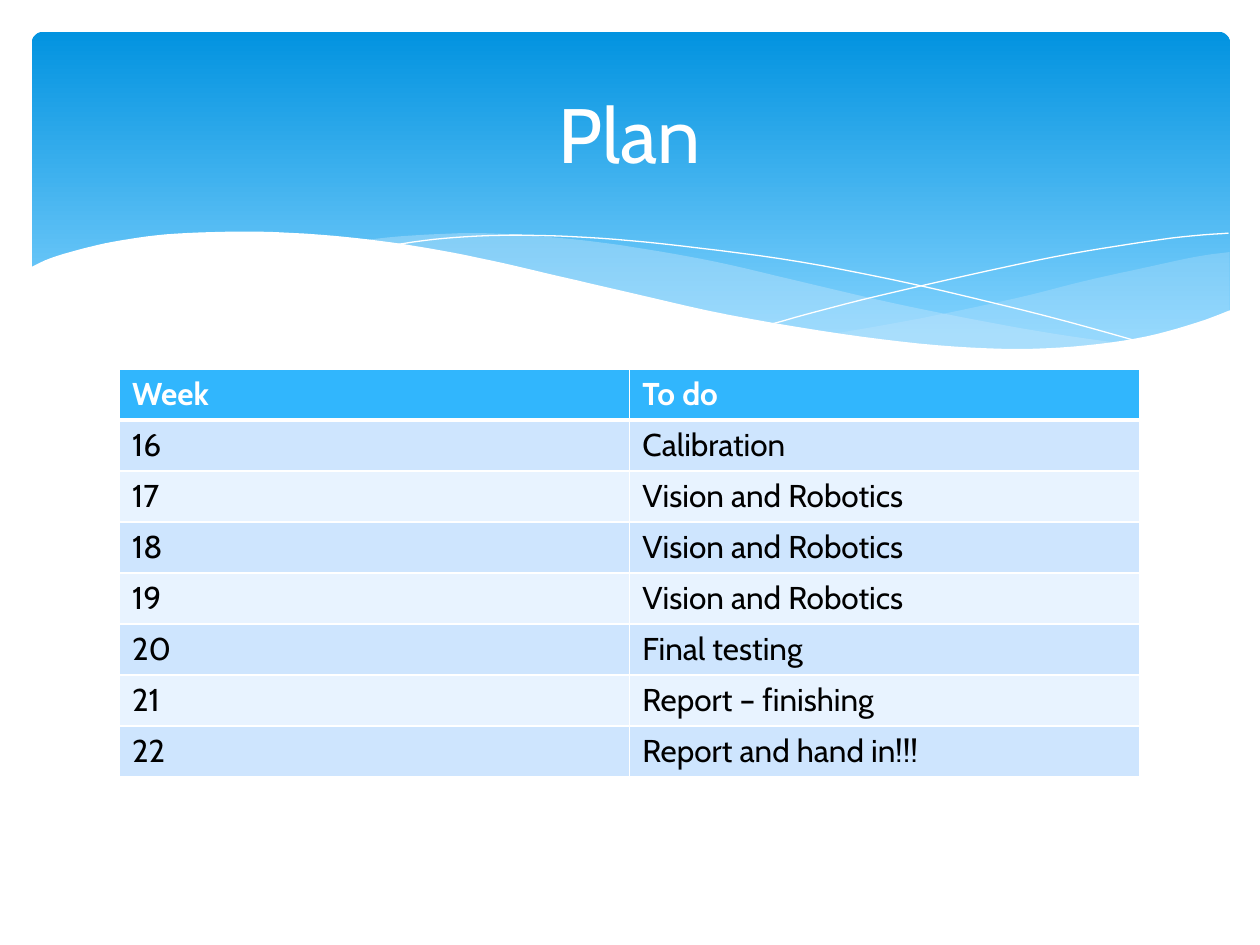
from lxml.etree import SubElement
from pptx import Presentation
from pptx.dml.color import RGBColor
from pptx.enum.shapes import MSO_SHAPE
from pptx.enum.text import MSO_ANCHOR, PP_ALIGN
from pptx.oxml.ns import qn
from pptx.util import Cm, Pt

COLORS = {
    "white": "FFFFFF", "black": "000000", "banner_top": "0293E0", "banner_bottom": "83D3FE",
    "wave": "C6E7FC", "header": "31B6FD", "odd": "CEE5FE", "even": "E8F3FF",
}
COLORS = {name: RGBColor.from_string(value) for name, value in COLORS.items()}
FONT = "Cabin"
UNIT = Cm(2.54) / 1000


def smooth_curve(knots, steps=5):
    padded = [knots[0], *knots, knots[-1]]
    points = [knots[0]]
    for a, b, c, d in zip(padded, padded[1:], padded[2:], padded[3:]):
        for step in range(1, steps + 1):
            t = step / steps
            points.append(tuple(
                0.5 * (2 * q + (r - p) * t + (2 * p - 5 * q + 4 * r - s) * t ** 2
                       + (3 * q - p - 3 * r + s) * t ** 3)
                for p, q, r, s in zip(a, b, c, d)))
    return points


def add_outline(points, close):
    points = [(x * 1000, y * 1000) for x, y in points]
    builder = slide.shapes.build_freeform(*points[0], scale=UNIT)
    builder.add_line_segments(points[1:], close=close)
    shape = builder.convert_to_shape()
    shape.shadow.inherit = False
    return shape


presentation = Presentation()
presentation.slide_width = Cm(25.4)
presentation.slide_height = Cm(19.05)
slide = presentation.slides.add_slide(presentation.slide_layouts[6])

banner = slide.shapes.add_shape(MSO_SHAPE.ROUNDED_RECTANGLE, Cm(0.64), Cm(0.64), Cm(24.16), Cm(6.86))
banner.adjustments[0] = 0.034
banner.shadow.inherit = False
banner.line.fill.background()
banner.fill.gradient()
banner.fill.gradient_angle = 270
for stop, position, name in zip(banner.fill.gradient_stops, (0, 0.9), ("banner_top", "banner_bottom")):
    stop.position = position
    stop.color.rgb = COLORS[name]

right_wave = smooth_curve([
    (9.76, 2), (9.48, 2.04), (9.06, 2.13), (8.61, 2.23), (8.05, 2.37), (7.29, 2.53), (6.61, 2.65),
]) + smooth_curve([
    (6.61, 2.65), (7.05, 2.71), (7.57, 2.76), (8.03, 2.78), (8.44, 2.77), (8.81, 2.73),
    (9.21, 2.65), (9.49, 2.57), (9.76, 2.47),
])
middle_wave = smooth_curve([
    (8.93, 2.73), (8.37, 2.65), (7.75, 2.54), (7.06, 2.4), (6.29, 2.22), (5.69, 2.08), (5.14, 1.98),
    (4.65, 1.91), (4.2, 1.87), (3.8, 1.85), (3.44, 1.86), (3.13, 1.88), (2.86, 1.91),
]) + smooth_curve([
    (2.86, 1.91), (3.42, 1.99), (4.04, 2.11), (4.49, 2.22), (5.3, 2.4), (6.01, 2.55), (6.65, 2.66),
    (7.22, 2.74), (7.73, 2.77), (8.18, 2.78), (8.57, 2.77), (8.93, 2.73),
])
falling_line = smooth_curve([
    (3.09, 1.95), (3.44, 1.9), (3.87, 1.87), (4.33, 1.87), (4.89, 1.9), (5.56, 1.97),
    (6.36, 2.08), (7.27, 2.26), (8.31, 2.51), (9.07, 2.72),
])
rising_line = smooth_curve([
    (6.13, 2.57), (6.72, 2.41), (7.48, 2.23), (8.36, 2.04), (8.95, 1.94), (9.38, 1.88), (9.75, 1.85),
])
white_wave = smooth_curve([
    (9.77, 2.46), (9.5, 2.56), (9.1, 2.67), (8.63, 2.74), (8.09, 2.77), (7.44, 2.74), (6.68, 2.65),
    (5.79, 2.5), (5.03, 2.33), (4.47, 2.2), (3.91, 2.07), (3.4, 1.97), (2.92, 1.9), (2.5, 1.86),
    (2.11, 1.84), (1.77, 1.84), (1.32, 1.86), (0.95, 1.91), (0.67, 1.97), (0.4, 2.05), (0.23, 2.13),
]) + [(0.23, 3.29), (9.77, 3.29)]

for points, name, opacity in ((right_wave, "wave", 29), (middle_wave, "wave", 40)):
    shape = add_outline(points, True)
    shape.line.fill.background()
    shape.fill.solid()
    shape.fill.fore_color.rgb = COLORS[name]
    color = shape.fill._xPr.find(qn("a:solidFill"))[0]
    SubElement(color, qn("a:alpha"), val=str(opacity * 1000))

for points in (falling_line, rising_line):
    shape = add_outline(points, False)
    shape.fill.background()
    shape.line.color.rgb = COLORS["white"]
    shape.line.width = Pt(0)

shape = add_outline(white_wave, True)
shape.line.fill.background()
shape.fill.solid()
shape.fill.fore_color.rgb = COLORS["white"]

title = slide.shapes.add_textbox(Cm(1.27), Cm(0.94), Cm(22.86), Cm(3.48))
title.text_frame.word_wrap = True
title.text_frame.vertical_anchor = MSO_ANCHOR.MIDDLE
title.text_frame.text = "Plan"
paragraph = title.text_frame.paragraphs[0]
paragraph.alignment = PP_ALIGN.CENTER
font = paragraph.runs[0].font
font.name, font.size = FONT, Pt(44)
font.color.rgb = COLORS["white"]

rows = [
    ("Week", "To do"),
    ("16", "Calibration"),
    ("17", "Vision and Robotics"),
    ("18", "Vision and Robotics"),
    ("19", "Vision and Robotics"),
    ("20", "Final testing"),
    ("21", "Report – finishing"),
    ("22", "Report and hand in!!!"),
]
table = slide.shapes.add_table(len(rows), 2, Cm(2.41), Cm(7.44), Cm(20.57), Cm(8.23)).table
for row_index, row in enumerate(rows):
    is_header = row_index == 0
    fill_name = "header" if is_header else ("even", "odd")[row_index % 2]
    for column_index, text in enumerate(row):
        cell = table.cell(row_index, column_index)
        cell.text_frame.text = text
        font = cell.text_frame.paragraphs[0].runs[0].font
        font.name, font.size, font.bold = FONT, Pt(18), is_header
        font.color.rgb = COLORS["white" if is_header else "black"]
        properties = cell._tc.get_or_add_tcPr()
        for side in ("L", "R", "T", "B"):
            is_thick = (row_index, side) in ((0, "B"), (1, "T"))
            border = SubElement(properties, qn("a:ln" + side), w=str(Pt(3 if is_thick else 1)))
            border_fill = SubElement(border, qn("a:solidFill"))
            SubElement(border_fill, qn("a:srgbClr"), val=str(COLORS["white"]))
        cell.fill.solid()
        cell.fill.fore_color.rgb = COLORS[fill_name]

presentation.save("out.pptx")
